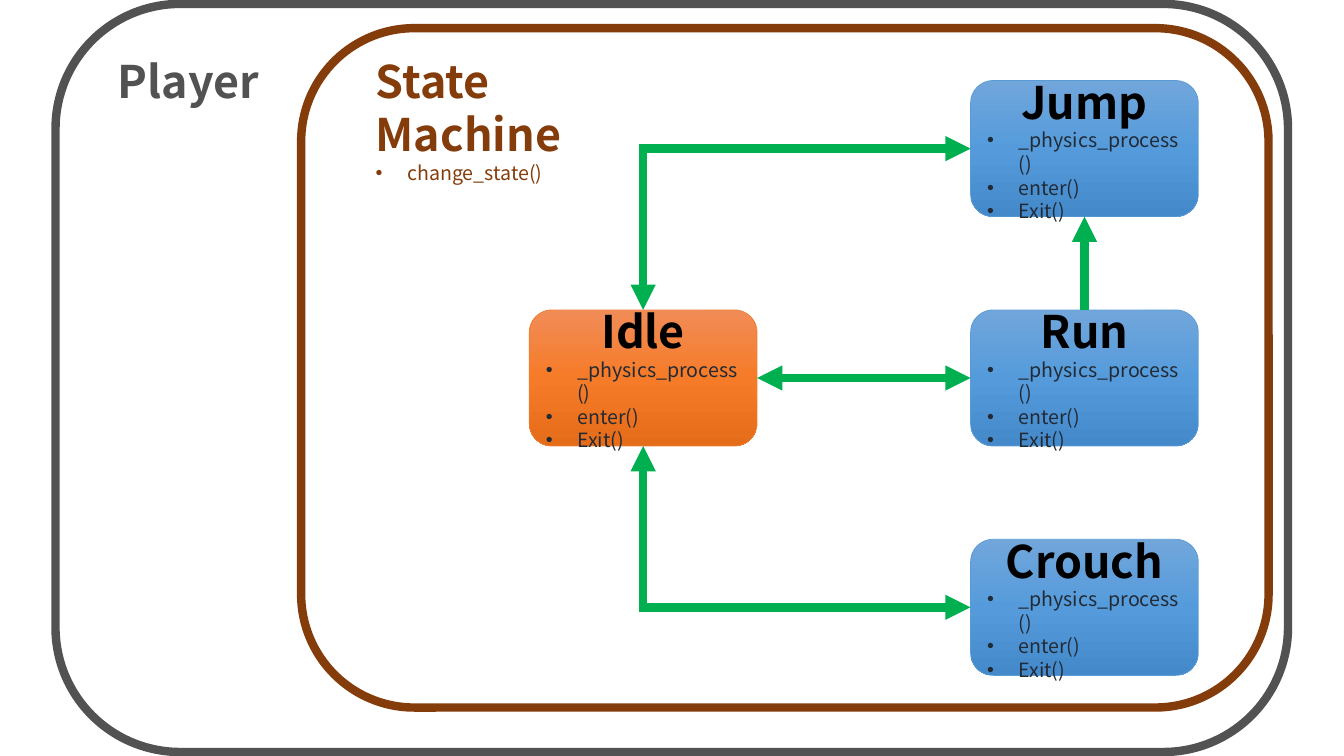
import copy
import pptx
import pptx.util
import pptx.dml.color
import pptx.enum.shapes
import pptx.enum.text
import pptx.oxml
import pptx.oxml.ns

Cm = pptx.util.Cm
Pt = pptx.util.Pt
KIND = pptx.enum.shapes.MSO_SHAPE
WIRE = pptx.enum.shapes.MSO_CONNECTOR
ALIGN = pptx.enum.text.PP_ALIGN
ANCHOR = pptx.enum.text.MSO_ANCHOR
qn = pptx.oxml.ns.qn

FONT = "Noto Sans CJK KR"
HEAD = {"name": FONT, "size": Pt(32), "bold": True}
ITEM = {"name": FONT, "size": Pt(14), "bold": False}
CALLS = ["_physics_process()", "enter()", "Exit()"]
ORANGE = (["F18C57", "F67B28", "E56C19"], "ED7D31")
BLUE = (["71A6DB", "559BDB", "448ACA"], "5B9BD5")
GREY, BROWN, GREEN = "525252", "843C0B", "00B050"
TOP, LEFT, BOTTOM, RIGHT = range(4)


def color(code):
    return pptx.dml.color.RGBColor.from_string(code)


def style(item, values):
    for name, value in values.items():
        setattr(item, name, value)


def add(parent, tag, **values):
    node = parent.makeelement(qn(tag), values)
    parent.append(node)
    return node


def stroke(line, code, width):
    line.fill.solid()
    line.fill.fore_color.rgb = color(code)
    line.width = Pt(width)


def write(frame, title, items, ink, tint, align):
    frame.word_wrap = True
    for row, text in enumerate([title] + items):
        para = frame.add_paragraph() if row else frame.paragraphs[0]
        para.alignment = ALIGN.LEFT if row else align
        run = para.add_run()
        run.text = text
        style(run.font, ITEM if row else HEAD)
        run.font.color.rgb = color(tint if row else ink)
        props = run.font._element
        add(props, "a:ea", typeface=FONT)
        if row:
            mark = para._p.get_or_add_pPr()
            mark.set("marL", str(Cm(0.79)))
            mark.set("indent", str(-Cm(0.79)))
            add(mark, "a:buFont", typeface="Arial")
            add(mark, "a:buChar", char="•")


def block(slide, box):
    shape = slide.shapes.add_shape(KIND.ROUNDED_RECTANGLE, *map(Cm, box))
    shape.shadow.inherit = False
    return shape


def panel(slide, box, label, title, items, code):
    frame = block(slide, box)
    frame.fill.solid()
    frame.fill.fore_color.rgb = color("FFFFFF")
    stroke(frame.line, code, 6)
    dx, dy, wide, high = label
    area = box[0] + dx, box[1] + dy, wide, high
    text = slide.shapes.add_textbox(*map(Cm, area))
    write(text.text_frame, title, items, code, code, ALIGN.LEFT)


def state(slide, box, title, theme):
    stops, edge = theme
    shape = block(slide, box)
    fill = shape.fill
    fill.gradient()
    fill.gradient_angle = 270
    group = shape._element.spPr.find(qn("a:gradFill")).find(qn("a:gsLst"))
    group.insert(1, copy.deepcopy(group[0]))
    for step, (stop, code) in enumerate(zip(fill.gradient_stops, stops)):
        style(stop, {"position": step / 2})
        stop.color.rgb = color(code)
    stroke(shape.line, edge, 0.5)
    shape.text_frame.vertical_anchor = ANCHOR.MIDDLE
    write(shape.text_frame, title, CALLS, "000000", "222A35", ALIGN.CENTER)
    return shape


def link(slide, start, exit, end, entry, bent=False, both=True):
    kind = WIRE.ELBOW if bent else WIRE.STRAIGHT
    wire = slide.shapes.add_connector(kind, 0, 0, 0, 0)
    wire.begin_connect(start, exit)
    wire.end_connect(end, entry)
    stroke(wire.line, GREEN, 6)
    props = wire._element.spPr
    if bent:
        props.find(qn("a:prstGeom")).set("prst", "bentConnector2")
    line = wire.line._ln
    add(line, "a:miter", lim="800000")
    if both:
        add(line, "a:headEnd", type="triangle")
    add(line, "a:tailEnd", type="triangle")
    add(props, "a:effectLst")


def chart(slide, box):
    left, top = box
    wide, high, gap, pitch = 5.74, 3.43, 11.12, 5.78
    far = left + gap
    mid = top + pitch
    idle = state(slide, (left, mid, wide, high), "Idle", ORANGE)
    jump, run, crouch = [
        state(slide, (far, top + row * pitch, wide, high), name, BLUE)
        for row, name in enumerate(["Jump", "Run", "Crouch"])
    ]
    link(slide, jump, LEFT, idle, TOP, bent=True)
    link(slide, run, TOP, jump, BOTTOM, both=False)
    link(slide, idle, RIGHT, run, LEFT)
    link(slide, crouch, LEFT, idle, BOTTOM, bent=True)


def main():
    deck = pptx.Presentation()
    style(deck, {"slide_width": Cm(33.87), "slide_height": Cm(19.05)})
    slide = deck.slides.add_slide(deck.slide_layouts[6])
    panel(slide, (1.4, 0.1, 31.06, 18.85), (1.32, 1.12, 4.09, 1.63),
          "Player", [], GREY)
    panel(slide, (7.59, 0.71, 24.38, 17.12), (1.63, 0.51, 8.23, 2.24),
          "State Machine", ["change_state()"], BROWN)
    chart(slide, (13.34, 2.03))
    deck.save("out.pptx")


if __name__ == "__main__":
    main()
